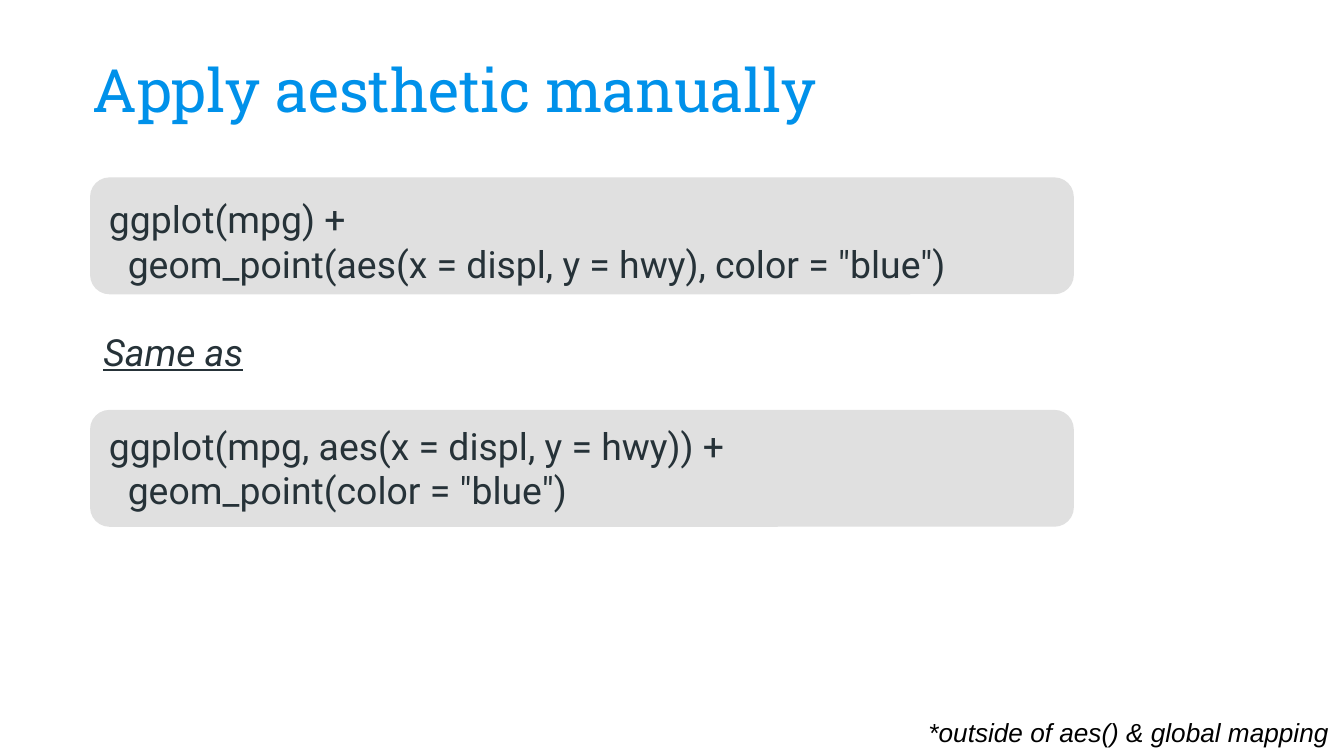
from pptx import Presentation
from pptx.dml.color import RGBColor
from pptx.enum.shapes import MSO_SHAPE
from pptx.enum.text import MSO_ANCHOR
from pptx.util import Inches, Pt

BLUE = RGBColor(0x00, 0x91, 0xEA)
SLATE = RGBColor(0x26, 0x32, 0x38)
GREY = RGBColor(0xE0, 0xE0, 0xE0)
BLACK = RGBColor(0x00, 0x00, 0x00)

SLIDE_WIDTH = 10
SLIDE_HEIGHT = SLIDE_WIDTH * 9 / 16
LEFT = 0.67
CODE_WIDTH = 7.32
CODE_HEIGHT = 0.87
FIRST_ROW = 1.32
ROW_STEP = 1.73
CODE_INDENT = Inches(0.14)

presentation = Presentation()
presentation.slide_width = Inches(SLIDE_WIDTH)
presentation.slide_height = Inches(SLIDE_HEIGHT)
slide = presentation.slides.add_slide(presentation.slide_layouts[6])


def write_text(shape, text, font_name, size, color, italic=False, underline=False):
    paragraph = shape.text_frame.paragraphs[0]
    paragraph.text = text
    for run in paragraph.runs:
        run.font.name = font_name
        run.font.size = Pt(size)
        run.font.color.rgb = color
        run.font.italic = italic
        run.font.underline = underline
    return paragraph


code_blocks = [
    ('ggplot(mpg) +\vgeom_point(aes(x = displ, y = hwy), color = "blue")', 0.09),
    ('ggplot(mpg, aes(x = displ, y = hwy)) +\vgeom_point(color = "blue")', 0),
]
for row, (code, top_margin) in enumerate(code_blocks):
    code_box = slide.shapes.add_shape(
        MSO_SHAPE.ROUNDED_RECTANGLE,
        Inches(LEFT), Inches(FIRST_ROW + row * ROW_STEP),
        Inches(CODE_WIDTH), Inches(CODE_HEIGHT),
    )
    code_box.shadow.inherit = False
    code_box.fill.solid()
    code_box.fill.fore_color.rgb = GREY
    code_box.line.fill.background()
    code_box.text_frame.word_wrap = True
    code_box.text_frame.vertical_anchor = MSO_ANCHOR.MIDDLE
    code_box.text_frame.margin_top = Inches(top_margin)
    code_box.text_frame.margin_bottom = Inches(0.01)
    paragraph = write_text(code_box, code, "Roboto", 20, SLATE)
    properties = paragraph._p.get_or_add_pPr()
    properties.set("algn", "l")
    properties.set("marL", str(CODE_INDENT))
    properties.set("indent", str(-CODE_INDENT))

labels = [
    ("Apply aesthetic manually", 0.59, 0.29, 8.03, 0.82, 0.1,
     "Roboto Slab", 32, BLUE, False, False),
    ("Same as", LEFT, 2.4, 1.31, 0.44, 0.05,
     "Roboto", 20, SLATE, True, True),
    ("*outside of aes() & global mapping", SLIDE_WIDTH - 3.19, SLIDE_HEIGHT - 0.34, 3.19, 0.34, 0.05,
     "Arial", 14, BLACK, True, False),
]
for text, left, top, width, height, margin, font_name, size, color, italic, underline in labels:
    label = slide.shapes.add_textbox(Inches(left), Inches(top), Inches(width), Inches(height))
    label.text_frame.word_wrap = size == 32
    label.text_frame.margin_top = label.text_frame.margin_bottom = Inches(margin)
    write_text(label, text, font_name, size, color, italic, underline)

presentation.save("out.pptx")
